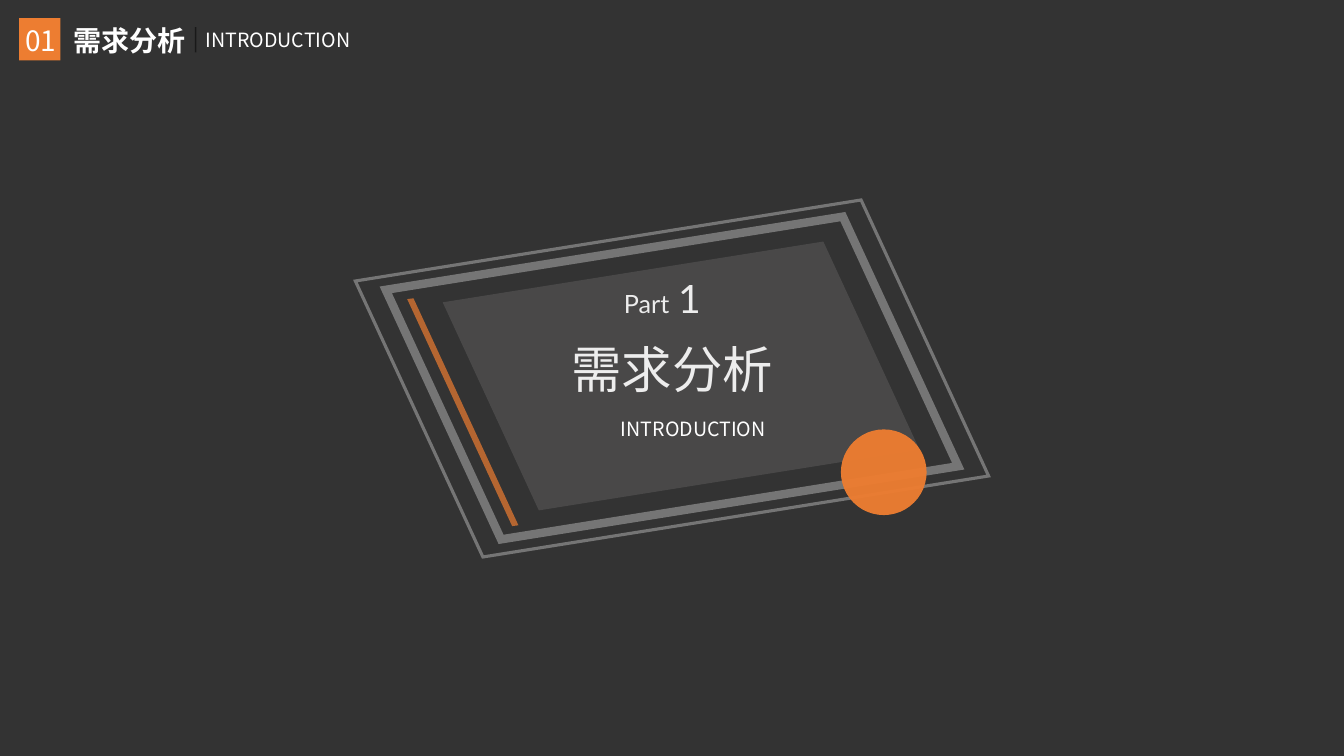
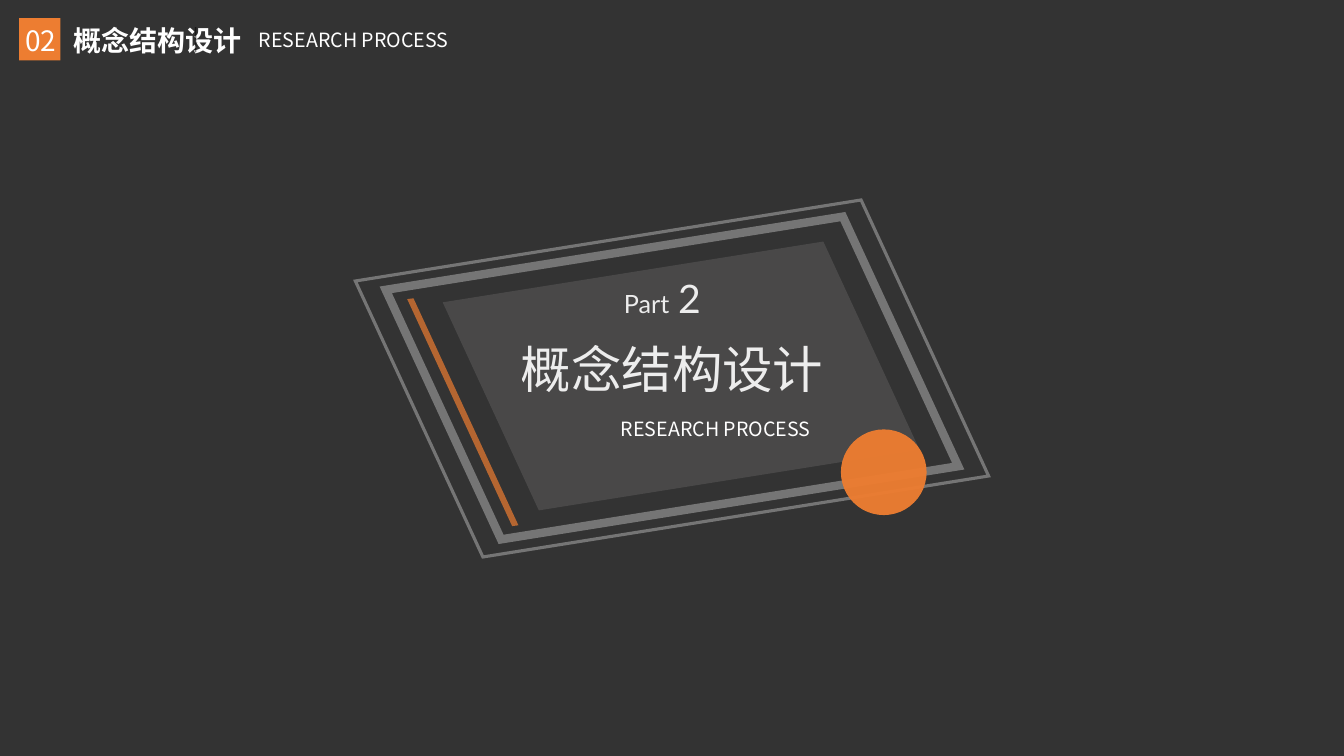
"""Build two section divider slides that share one slanted frame and header."""
from lxml import etree
from pptx import Presentation
from pptx.dml.color import RGBColor
from pptx.enum.shapes import MSO_CONNECTOR, MSO_SHAPE
from pptx.enum.text import MSO_ANCHOR, PP_ALIGN
from pptx.oxml.ns import qn
from pptx.util import Pt

RECT, OVAL, SLANT = MSO_SHAPE.RECTANGLE, MSO_SHAPE.OVAL, MSO_SHAPE.PARALLELOGRAM
STRAIGHT = MSO_CONNECTOR.STRAIGHT
TOP, MIDDLE = MSO_ANCHOR.TOP, MSO_ANCHOR.MIDDLE
LEFT, CENTER = PP_ALIGN.LEFT, PP_ALIGN.CENTER

SECTIONS = [
    {"number": 1, "title": "需求分析", "subtitle": "INTRODUCTION", "header_x": 194},
    {"number": 2, "title": "概念结构设计", "subtitle": "RESEARCH PROCESS", "header_x": 247},
]

COLORS = {
    "background": "333333",
    "frame": "D9D9D9",
    "panel": "D0CECE",
    "accent": "ED7D31",
    "text": "FFFFFF",
    "divider": "000000",
}
SANS, LATIN = "Noto Sans CJK SC", "Lato"
SLIDE_W, SLIDE_H = 1333, 750
EMU_PER_PX = 9144
TILT, SKEW = 65.2, 0.313

OUTLINES = [((447, 131, 439, 489), 2.25), ((468, 154, 397, 442), 6)]
PANEL = (510, 189, 331, 368)
DISC = (834, 426, 85, 85)
STRIPE = (334, 406, 250, 6)
BADGE = (19, 18, 41, 42)
DIVIDER = (194, 27, 194, 52)


def px(*lengths):
    return [n * EMU_PER_PX for n in lengths]


def set_alpha(element, percent):
    for color in element.iter(qn("a:srgbClr")):
        etree.SubElement(color, qn("a:alpha"), val=str(percent * 1000))


def paint(fill, name):
    fill.solid()
    fill.fore_color.rgb = RGBColor.from_string(COLORS[name])


def add_shape(s, kind, box, color, alpha=100, line=None):
    sp = s.shapes.add_shape(kind, *px(*box))
    sp.shadow.inherit = False
    if kind == SLANT:
        sp.adjustments[0] = SKEW
        sp.rotation = TILT
    if line:
        sp.fill.background()
        sp.line.width = Pt(line)
        paint(sp.line.fill, color)
        miter = etree.SubElement(sp.element.spPr.find(qn("a:ln")), qn("a:miter"))
        miter.set("lim", "800000")
    else:
        paint(sp.fill, color)
        sp.line.fill.background()
    if alpha < 100:
        set_alpha(sp.element, alpha)
    return sp


def write(sp, runs, font, align=LEFT, anchor=TOP, bold=False, alpha=100):
    tf = sp.text_frame
    tf.word_wrap = True
    tf.vertical_anchor = anchor
    p = tf.paragraphs[0]
    p.alignment = align
    for text, size in runs:
        r = p.add_run()
        r.text = text
        r.font.size = Pt(size)
        r.font.bold = bold
        r.font.name = font
        paint(r.font.fill, "text")
        props = r._r.get_or_add_rPr()
        etree.SubElement(props, qn("a:ea"), typeface=font)
        if alpha < 100:
            set_alpha(props, alpha)


def add_text(s, box, runs, font=SANS, **style):
    write(s.shapes.add_textbox(*px(*box)), runs, font, **style)


def add_divider(s):
    line = s.shapes.add_connector(STRAIGHT, *px(*DIVIDER))
    line.line.width = Pt(1)
    paint(line.line.fill, "divider")
    set_alpha(line.element, 49)
    etree.SubElement(line.element.spPr, qn("a:effectLst"))


def add_header(s, section):
    add_text(s, (63, 18, 193, 44), [(section["title"], 20)], anchor=MIDDLE, bold=True)
    add_text(s, (section["header_x"], 23, 220, 34), [(section["subtitle"], 14)])
    badge = add_shape(s, RECT, BADGE, "accent")
    tf = badge.text_frame
    tf.margin_left = tf.margin_top = px(2)[0]
    tf.margin_right = tf.margin_bottom = 0
    write(badge, [(f"{section['number']:02d}", 20)], SANS, CENTER, MIDDLE)
    add_divider(s)


def add_frame(s):
    for box, width in OUTLINES:
        add_shape(s, SLANT, box, "frame", 40, width)
    add_shape(s, SLANT, PANEL, "panel", 14)
    add_shape(s, OVAL, DISC, "accent", 96)
    add_shape(s, SLANT, STRIPE, "accent", 70)


def add_section(prs, section):
    s = prs.slides.add_slide(prs.slide_layouts[6])
    add_frame(s)
    part = [("Part", 18), (" ", 24), (str(section["number"]), 28)]
    add_text(s, (609, 267, 115, 57), part, LATIN, alpha=90)
    add_text(s, (502, 331, 329, 71), [(section["title"], 36)], align=CENTER, alpha=90)
    add_text(s, (606, 409, 220, 34), [(section["subtitle"], 14)])
    add_header(s, section)


def main():
    prs = Presentation()
    prs.slide_width, prs.slide_height = px(SLIDE_W, SLIDE_H)
    paint(prs.slide_master.background.fill, "background")
    for section in SECTIONS:
        add_section(prs, section)
    prs.save("out.pptx")


if __name__ == "__main__":
    main()
